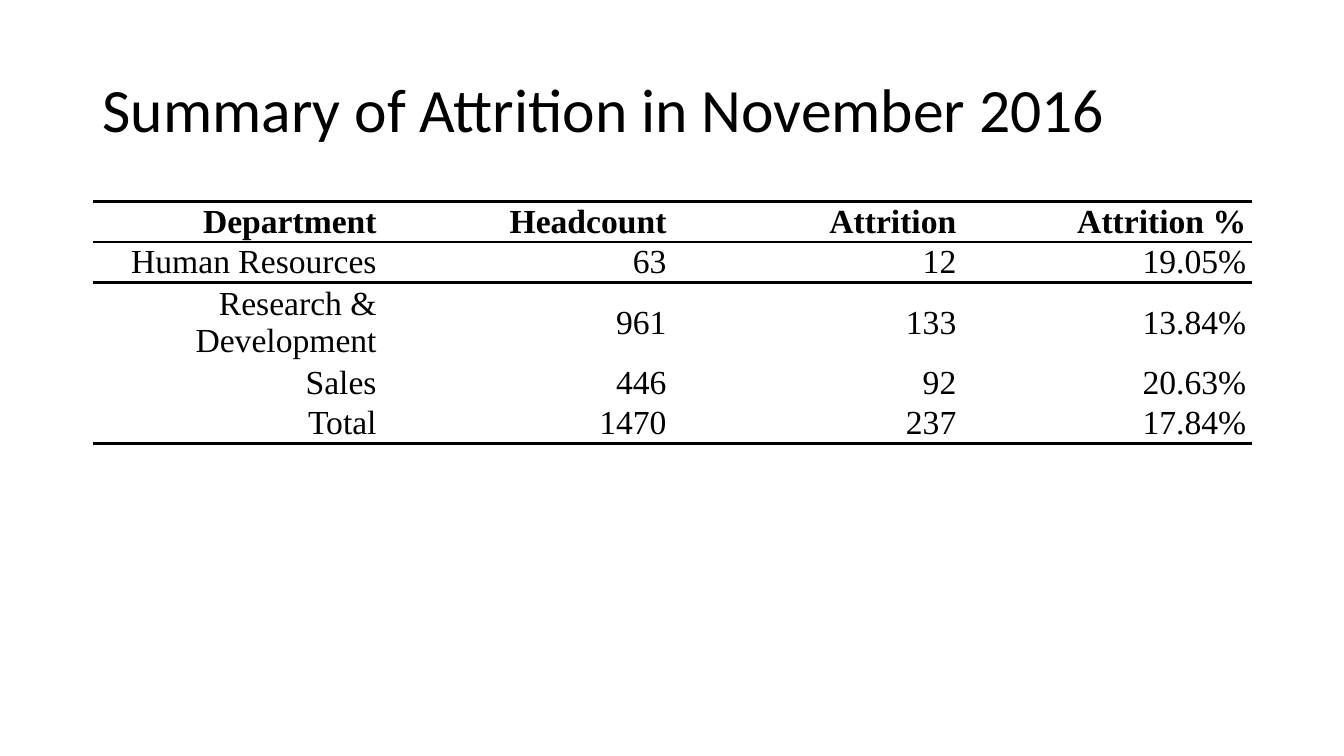
import lxml.etree
import pptx
import pptx.dml.color
import pptx.enum.text
import pptx.oxml.ns
import pptx.util

Inches = pptx.util.Inches
Pt = pptx.util.Pt
PP_ALIGN = pptx.enum.text.PP_ALIGN
MSO_ANCHOR = pptx.enum.text.MSO_ANCHOR
qn = pptx.oxml.ns.qn

NO_GRID_STYLE = "{2D5ABB26-0587-4C30-8999-92F81FD0307C}"
ATTRITION = [
    ("Department", "Headcount", "Attrition", "Attrition %"),
    ("Human Resources", "63", "12", "19.05%"),
    ("Research & Development", "961", "133", "13.84%"),
    ("Sales", "446", "92", "20.63%"),
    ("Total", "1470", "237", "17.84%"),
]


def color(value):
    return pptx.dml.color.RGBColor.from_string(value)


class SlideBuilder:
    ink = "000000"
    title_font = "Calibri"
    table_font = "Times New Roman"
    rule_width = 2

    def __init__(self, prs):
        self.slide = prs.slides.add_slide(prs.slide_layouts[6])

    def style(self, p, font, size, bold=False):
        p.font.name = font
        p.font.size = Pt(size)
        p.font.bold = bold
        p.font.color.rgb = color(self.ink)

    def title(self, text, left, top, width, height):
        box = self.slide.shapes.add_textbox(
            Inches(left), Inches(top), Inches(width), Inches(height))
        tf = box.text_frame
        tf.word_wrap = True
        tf.vertical_anchor = MSO_ANCHOR.MIDDLE
        p = tf.paragraphs[0]
        p.text = text
        p.line_spacing = 0.9
        self.style(p, self.title_font, 44)

    def rule(self, cell, side):
        """Draw a border on one side of a cell: lnT or lnB."""
        tc_pr = cell._tc.get_or_add_tcPr()
        ln = lxml.etree.SubElement(
            tc_pr, qn(f"a:{side}"), w=str(Pt(self.rule_width)))
        fill = lxml.etree.SubElement(ln, qn("a:solidFill"))
        lxml.etree.SubElement(fill, qn("a:srgbClr"), val=self.ink)

    def cell(self, cell, text, bold):
        cell.margin_left = cell.margin_right = Inches(0.06)
        cell.margin_top = cell.margin_bottom = 0
        cell.vertical_anchor = MSO_ANCHOR.MIDDLE
        p = cell.text_frame.paragraphs[0]
        p.text = text
        p.alignment = PP_ALIGN.RIGHT
        self.style(p, self.table_font, 24, bold)

    def table(self, rows, left, top, width, row_height):
        frame = self.slide.shapes.add_table(
            len(rows), len(rows[0]), Inches(left), Inches(top),
            Inches(width), Inches(row_height * len(rows)))
        table = frame.table
        table.horz_banding = False
        table._tbl.tblPr.find(qn("a:tableStyleId")).text = NO_GRID_STYLE
        last = len(rows) - 1
        for i, row in enumerate(rows):
            for j, text in enumerate(row):
                cell = table.cell(i, j)
                self.cell(cell, text, bold=i == 0)
                if i in (0, 1):
                    self.rule(cell, "lnT")
                if i in (0, last):
                    self.rule(cell, "lnB")
                cell.fill.background()


def main():
    prs = pptx.Presentation()
    prs.slide_width = Inches(13.33)
    prs.slide_height = Inches(7.5)
    s = SlideBuilder(prs)
    s.title("Summary of Attrition in November 2016", 0.92, 0.39, 11.5, 1.45)
    s.table(ATTRITION, 0.92, 2, 11.5, 0.37)
    prs.save("out.pptx")


if __name__ == "__main__":
    main()
